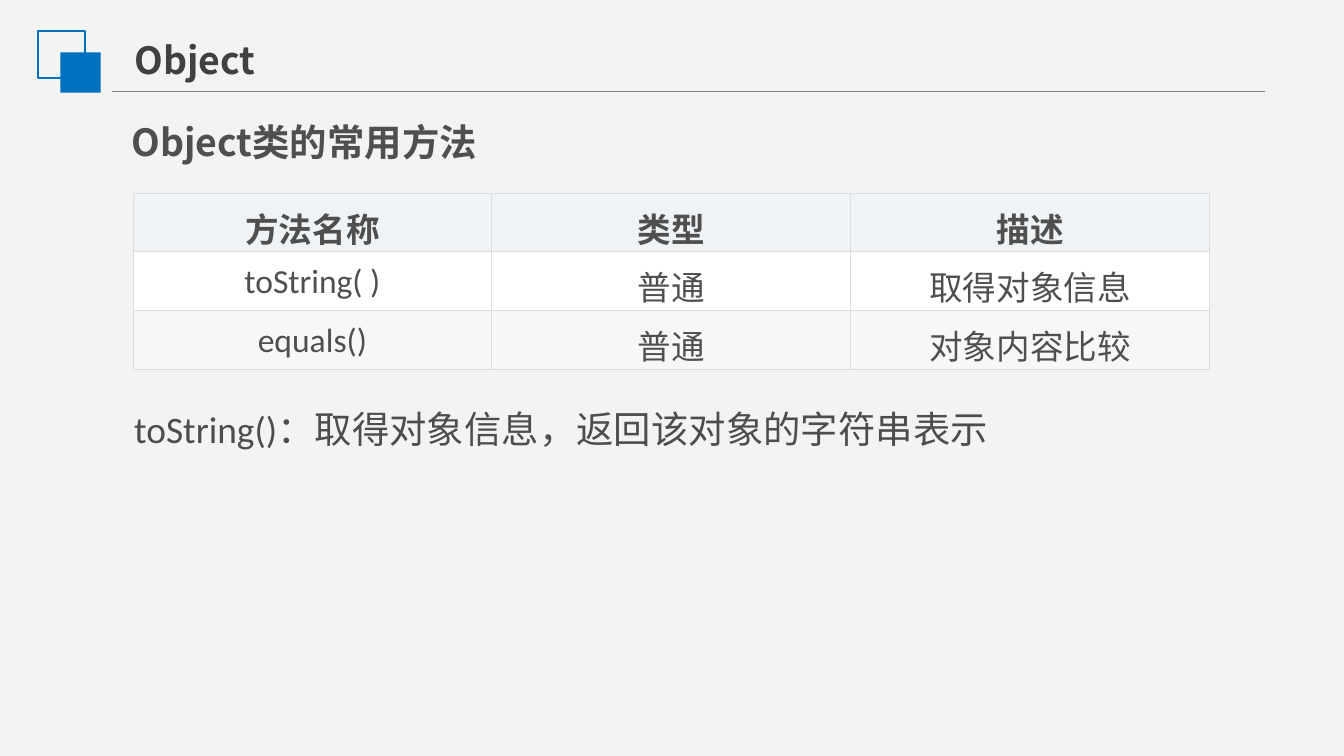
from lxml.etree import SubElement
from pptx import Presentation
from pptx.dml.color import RGBColor
from pptx.enum.shapes import MSO_CONNECTOR, MSO_SHAPE
from pptx.enum.text import MSO_ANCHOR, MSO_AUTO_SIZE, PP_ALIGN
from pptx.oxml.ns import qn
from pptx.util import Inches, Pt

TITLE = "Object"
HEAD = "Object类的常用方法"
ROWS = [
    ("方法名称", "类型", "描述"),
    ("toString( )", "普通", "取得对象信息"),
    ("equals()", "普通", "对象内容比较"),
]
NOTE = "toString()：取得对象信息，返回该对象的字符串表示"
HAN, LATIN = "Noto Sans CJK SC", "Calibri"
COLORS = {
    "back": "F3F3F3", "blue": "0070C0", "rule": "808080", "title": "404040",
    "text": "4F4F4F", "note": "4D4D4D", "grid": "DDDDDD",
}
FILLS = ["EFF3F5", "FFFFFF", "F7F7F7"]
SQUARES = [(0.28, 0.23, 0.35, False), (0.45, 0.39, 0.3, True)]


def rgb(name):
    """Return the named colour."""
    return RGBColor.from_string(COLORS[name])


def write(frame, text, size, face, color, bold=False, align=PP_ALIGN.LEFT):
    """Put one styled paragraph in a text frame."""
    frame.text = text
    para = frame.paragraphs[0]
    para.alignment = align
    font = para.font
    font.size, font.name, font.bold = Pt(size), face, bold
    font.color.rgb = rgb(color)
    props = para._p.pPr.find(qn("a:defRPr"))
    SubElement(props, qn("a:ea")).set("typeface", HAN)


def place(shape, left, top, width, height):
    """Move and size a shape, in inches."""
    shape.left, shape.top = Inches(left), Inches(top)
    shape.width, shape.height = Inches(width), Inches(height)


def label(slide, box, *style):
    """Add a wrapped text box."""
    frame = slide.shapes.add_textbox(*map(Inches, box)).text_frame
    frame.word_wrap = True
    frame.auto_size = MSO_AUTO_SIZE.SHAPE_TO_FIT_TEXT
    write(frame, *style)


def edge(cell):
    """Draw thin borders round a cell."""
    props = cell._tc.get_or_add_tcPr()
    for spot, side in enumerate(("lnL", "lnR", "lnT", "lnB")):
        line = props.makeelement(qn(f"a:{side}"), {"w": str(Pt(0.6))})
        fill = SubElement(line, qn("a:solidFill"))
        SubElement(fill, qn("a:srgbClr")).set("val", COLORS["grid"])
        props.insert(spot, line)


def marks(slide):
    """Draw the title rule and the two squares."""
    rule = slide.shapes.add_connector(
        MSO_CONNECTOR.STRAIGHT, *map(Inches, (0.83, 0.68, 9.41, 0.68)))
    rule.line.color.rgb, rule.line.width = rgb("rule"), Pt(0.75)
    SubElement(rule._element.spPr, qn("a:effectLst"))
    for left, top, side, solid in SQUARES:
        box = slide.shapes.add_shape(
            MSO_SHAPE.RECTANGLE, *map(Inches, (left, top, side, side)))
        box.shadow.inherit = False
        if solid:
            box.fill.solid()
            box.fill.fore_color.rgb = rgb("blue")
            box.line.fill.background()
        else:
            box.fill.background()
            box.line.color.rgb, box.line.width = rgb("blue"), Pt(1)


def grid(slide):
    """Add the table of methods."""
    table = slide.shapes.add_table(
        len(ROWS), len(ROWS[0]), *map(Inches, (0.99, 1.44, 8.01, 1.3))).table
    for r, (row, fill) in enumerate(zip(ROWS, FILLS)):
        for c, text in enumerate(row):
            cell = table.cell(r, c)
            cell.fill.solid()
            cell.fill.fore_color.rgb = RGBColor.from_string(fill)
            cell.vertical_anchor = MSO_ANCHOR.MIDDLE
            cell.margin_left = cell.margin_right = Inches(0.07)
            cell.margin_top = Inches(0.07)
            cell.margin_bottom = Inches(0.07 if text.isascii() else 0)
            write(cell.text_frame, text, 18, LATIN, "text", r == 0,
                  PP_ALIGN.CENTER)
            edge(cell)


def main():
    """Build the slide and save it."""
    deck = Presentation()
    deck.slide_width = Inches(10)
    deck.slide_height = deck.slide_width * 9 // 16
    slide = deck.slides.add_slide(deck.slide_layouts[5])
    slide.background.fill.solid()
    slide.background.fill.fore_color.rgb = rgb("back")
    marks(slide)
    title = slide.shapes.title
    place(title, 0.9, 0.22, 1.13, 0.44)
    write(title.text_frame, TITLE, 20, HAN, "title", True)
    title.text_frame.word_wrap = False
    title.text_frame.vertical_anchor = MSO_ANCHOR.MIDDLE
    label(slide, (0.88, 0.84, 5.01, 0.44), HEAD, 20, HAN, "text", True)
    grid(slide)
    label(slide, (0.9, 2.97, 8.11, 0.44), NOTE, 20, LATIN, "note")
    deck.save("out.pptx")


if __name__ == "__main__":
    main()
